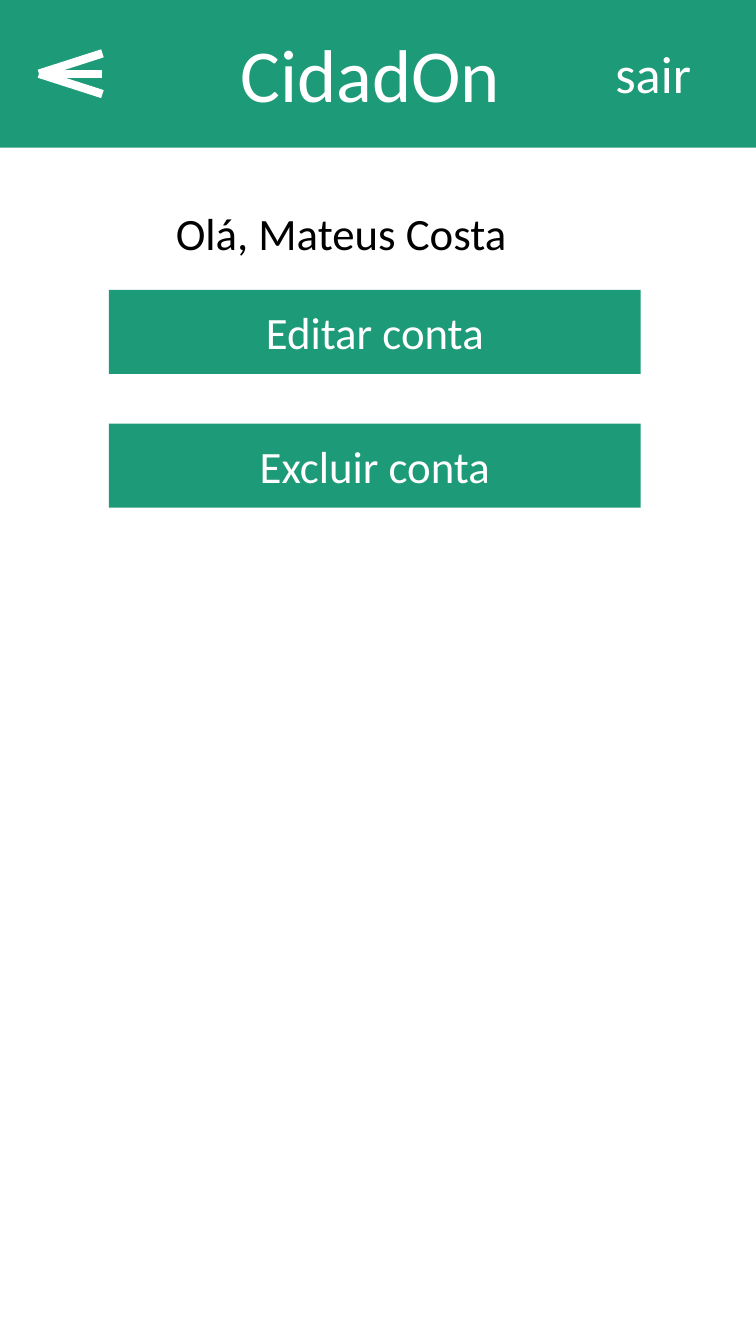
from lxml import etree
from pptx import Presentation
from pptx.dml.color import RGBColor
from pptx.enum import shapes, text
from pptx.oxml import ns
from pptx.util import Pt

GREEN, WHITE, BLACK = "1D9A78", "FFFFFF", "000000"
WIDTH, HEIGHT, BAR_HEIGHT = 405, 720, 79.2

# text, left, top, width, height, size, colour
TITLE = ("CidadOn", 121.7, 11.5, 161.3, 55.4, 40, WHITE)
LABELS = [
    ("Olá, Mateus Costa", 87.1, 106.6, 226, 36, 24, BLACK),
    ("sair", 322.6, 18.7, 67, 41, 28, WHITE),
]
BUTTONS = ["Editar conta", "Excluir conta"]
BUTTON_LEFT, BUTTON_TOP, BUTTON_WIDTH, BUTTON_HEIGHT = 58.3, 155.3, 285, 45
BUTTON_PITCH = 71.7
ARROW_TIP, ARROW_END, ARROW_MIDDLE, ARROW_SPREAD = 20.9, 54.9, 39.5, 10.9


def color(value):
    return RGBColor.from_string(value)


def write(shape, words, size, ink, align, anchor):
    frame = shape.text_frame
    frame.text = words
    frame.word_wrap = True
    frame.auto_size = text.MSO_AUTO_SIZE.NONE
    frame.vertical_anchor = anchor
    paragraph = frame.paragraphs[0]
    paragraph.alignment = align
    paragraph.font.name = "Calibri"
    paragraph.font.size = Pt(size)
    paragraph.font.color.rgb = color(ink)


def write_label(shape, words, left, top, width, height, size, ink):
    shape.left, shape.top = Pt(left), Pt(top)
    shape.width, shape.height = Pt(width), Pt(height)
    write(shape, words, size, ink, text.PP_ALIGN.LEFT, text.MSO_ANCHOR.TOP)


def add_block(slide, left, top, width, height):
    block = slide.shapes.add_shape(
        shapes.MSO_SHAPE.RECTANGLE, Pt(left), Pt(top), Pt(width), Pt(height))
    block.shadow.inherit = False
    block.fill.solid()
    block.fill.fore_color.rgb = color(GREEN)
    block.line.fill.background()
    return block


def add_back_arrow(slide):
    arrow = slide.shapes.add_group_shape()
    for offset in (-ARROW_SPREAD, 0, ARROW_SPREAD):
        stroke = arrow.shapes.add_connector(
            shapes.MSO_CONNECTOR.STRAIGHT, Pt(ARROW_TIP), Pt(ARROW_MIDDLE),
            Pt(ARROW_END), Pt(ARROW_MIDDLE + offset))
        stroke.line.color.rgb = color(WHITE)
        stroke.line.width = Pt(4.5)
        etree.SubElement(stroke.element.spPr, ns.qn("a:effectLst"))


def main():
    deck = Presentation()
    deck.slide_width, deck.slide_height = Pt(WIDTH), Pt(HEIGHT)
    slide = deck.slides.add_slide(deck.slide_layouts.get_by_name("Title Only"))

    title = slide.shapes.title
    write_label(title, *TITLE)
    bar = add_block(slide, 0, 0, WIDTH, BAR_HEIGHT)
    title.element.addprevious(bar.element)  # the bar goes behind the title
    add_back_arrow(slide)

    for row, caption in enumerate(BUTTONS):
        button = add_block(slide, BUTTON_LEFT, BUTTON_TOP + row * BUTTON_PITCH,
                           BUTTON_WIDTH, BUTTON_HEIGHT)
        write(button, caption, 24, WHITE,
              text.PP_ALIGN.CENTER, text.MSO_ANCHOR.MIDDLE)

    for label in LABELS:
        write_label(slide.shapes.add_textbox(0, 0, 0, 0), *label)

    deck.save("out.pptx")


if __name__ == "__main__":
    main()
